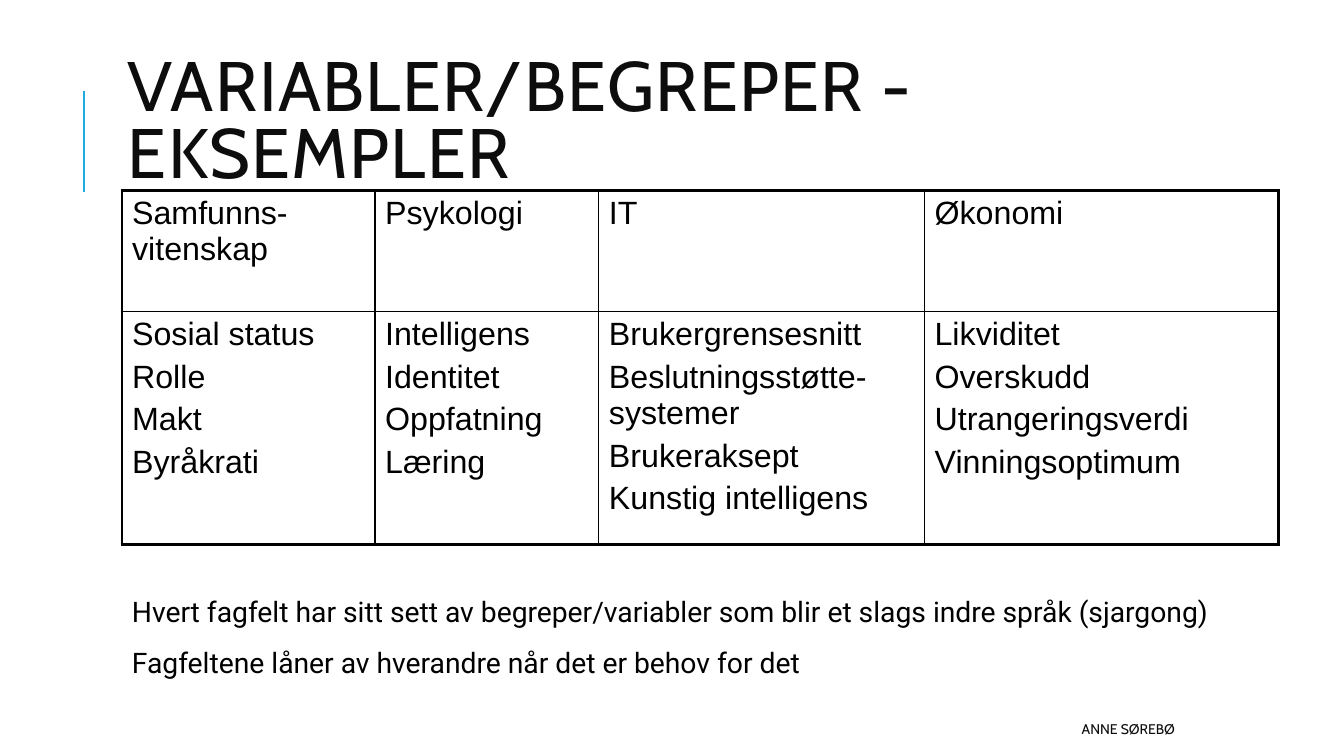
import pptx
import pptx.util
import pptx.dml.color
import pptx.enum.shapes
import pptx.enum.text
import pptx.oxml
import pptx.oxml.ns
import lxml.etree

Inches, Pt = pptx.util.Inches, pptx.util.Pt
RGB = pptx.dml.color.RGBColor.from_string
ALIGN = pptx.enum.text.PP_ALIGN
ANCHOR = pptx.enum.text.MSO_ANCHOR
qn = pptx.oxml.ns.qn

TITLE = "VARIABLER/BEGREPER - EKSEMPLER"
FIELDS = [
    ("Samfunns-vitenskap", 2.51, ["Sosial status", "Rolle", "Makt", "Byråkrati"]),
    ("Psykologi", 2.22, ["Intelligens", "Identitet", "Oppfatning", "Læring"]),
    ("IT", 3.23, ["Brukergrensesnitt", "Beslutningsstøtte-systemer",
                  "Brukeraksept", "Kunstig intelligens"]),
    ("Økonomi", 3.51, ["Likviditet", "Overskudd", "Utrangeringsverdi", "Vinningsoptimum"]),
]
NOTES = [
    "Hvert fagfelt har sitt sett av begreper/variabler som blir et slags indre språk (sjargong)",
    "Fagfeltene låner av hverandre når det er behov for det",
]
FOOTER = "ANNE SØREBØ"
ROW_HEIGHTS = [1.2, 2.31]

THEME = {
    "heading": "0D0D0D", "text": "000000", "accent": "1CADE4",
    "title_font": "Cabin", "table_font": "Arial", "body_font": "Roboto",
    "title_size": 50, "table_size": 23, "body_size": 20.2, "footer_size": 10,
    "outer": 2.25, "inner": 1, "accent_width": 1.5,
}


def write(tf, lines, font, size, color, align=ALIGN.LEFT, anchor=ANCHOR.TOP,
          line_spacing=1.0, gap=0, tracking=0):
    tf.word_wrap = True
    tf.vertical_anchor = anchor
    for i, line in enumerate(lines):
        p = tf.add_paragraph() if i else tf.paragraphs[0]
        p.alignment = align
        p.line_spacing = line_spacing
        p.space_before = Pt(gap if i else 0)
        r = p.add_run()
        r.text = line
        r.font.name = font
        r.font.size = Pt(size)
        r.font.color.rgb = RGB(color)
        if tracking:
            r.font._element.set("spc", str(tracking * 100))


def add_text(slide, box, lines, **fmt):
    sp = slide.shapes.add_textbox(*map(Inches, box))
    write(sp.text_frame, lines, **fmt)


def set_borders(cell, widths):
    tcPr = cell._tc.get_or_add_tcPr()
    for i, (side, width) in enumerate(widths.items()):
        ln = lxml.etree.Element(qn("a:ln" + side), w=str(Pt(width)))
        fill = lxml.etree.SubElement(ln, qn("a:solidFill"))
        lxml.etree.SubElement(fill, qn("a:srgbClr"), val=THEME["text"])
        tcPr.insert(i, ln)


def add_accent(slide):
    line = slide.shapes.add_connector(
        pptx.enum.shapes.MSO_CONNECTOR.STRAIGHT,
        Inches(0.83), Inches(1.9), Inches(0.83), Inches(0.9))
    line.line.color.rgb = RGB(THEME["accent"])
    line.line.width = Pt(THEME["accent_width"])
    lxml.etree.SubElement(line._element.spPr, qn("a:effectLst"))


def add_field_table(slide):
    rows, cols = len(ROW_HEIGHTS), len(FIELDS)
    table = slide.shapes.add_table(
        rows, cols, Inches(1.21), Inches(1.89),
        Inches(sum(f[1] for f in FIELDS)), Inches(sum(ROW_HEIGHTS))).table
    table.first_row = table.horz_banding = False
    for row, height in zip(table.rows, ROW_HEIGHTS):
        row.height = Inches(height)
    outer, inner = THEME["outer"], THEME["inner"]
    for c, (field, width, terms) in enumerate(FIELDS):
        table.columns[c].width = Inches(width)
        for r, lines in enumerate([[field], terms]):
            cell = table.cell(r, c)
            cell.fill.background()
            write(cell.text_frame, lines, font=THEME["table_font"],
                  size=THEME["table_size"], color=THEME["text"],
                  gap=THEME["table_size"] * 0.2)
            set_borders(cell, {
                "L": outer if c == 0 else inner,
                "R": outer if c == cols - 1 else inner,
                "T": outer if r == 0 else inner,
                "B": outer if r == rows - 1 else inner,
            })


def main():
    prs = pptx.Presentation()
    prs.slide_width, prs.slide_height = Inches(13.33), Inches(7.5)
    slide = prs.slides.add_slide(prs.slide_layouts[6])
    add_accent(slide)
    add_text(slide, (1.17, 0.72, 8.25, 1.04), [TITLE], font=THEME["title_font"],
             size=THEME["title_size"], color=THEME["heading"],
             anchor=ANCHOR.MIDDLE, line_spacing=0.8, tracking=1)
    add_field_table(slide)
    add_text(slide, (5.3, 7.08, 6.45, 0.3), [FOOTER], font=THEME["title_font"],
             size=THEME["footer_size"], color=THEME["heading"],
             align=ALIGN.RIGHT, anchor=ANCHOR.MIDDLE)
    add_text(slide, (1.21, 5.68, 11.48, 1.12), NOTES, font=THEME["body_font"],
             size=THEME["body_size"], color=THEME["text"], line_spacing=1.5)
    prs.save("out.pptx")


if __name__ == "__main__":
    main()
